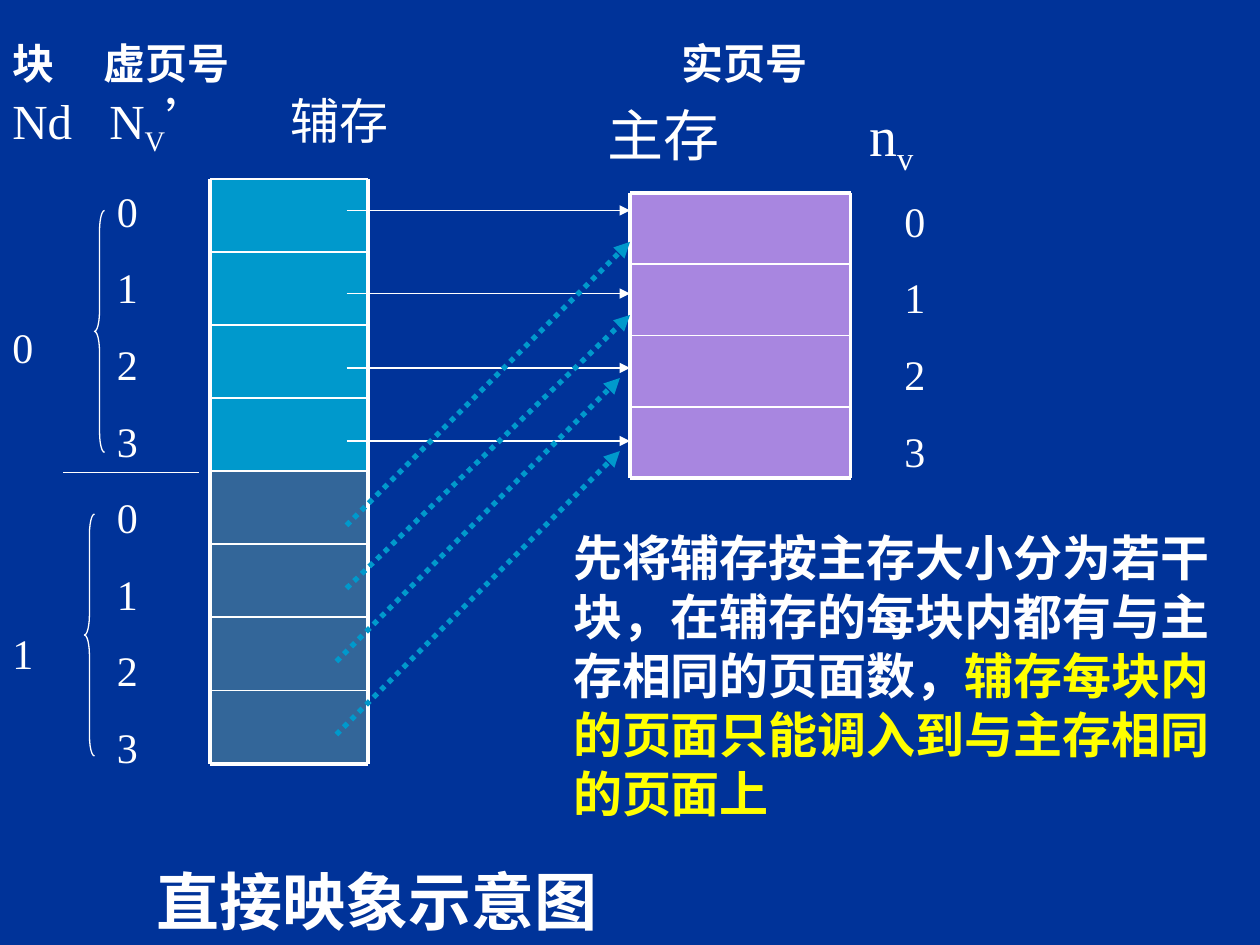
from pptx import Presentation
from pptx.dml.color import RGBColor
from pptx.enum.dml import MSO_LINE
from pptx.enum.shapes import MSO_CONNECTOR, MSO_SHAPE
from pptx.oxml.ns import qn
from pptx.util import Inches, Pt
from lxml.etree import SubElement

WHITE, YELLOW, CYAN = "FFFFFF", "FFFF00", "0099CC"
SERIF, SANS = "Times New Roman", "Noto Sans CJK SC"

# Memories: left, top, width, row height, weight of top line, row colours
MEMORIES = [
    (1.67, 1.42, 1.25, 0.58, 1, [CYAN] * 4 + ["336699"] * 4),
    (5, 1.53, 1.75, 0.566, 2.25, ["A886E0"] * 4),
]

# Arrows: x1, y1, x2, y2
DIRECT = [(2.75, y, 5, y) for y in (1.67, 2.33, 2.92, 3.5)]
DOTTED = [
    (2.75, 4.17, 5, 1.92),
    (2.75, 4.67, 5, 2.5),
    (2.67, 5.25, 4.92, 3),
    (2.67, 5.83, 4.92, 3.58),
]

# Braces: left, top
BRACES = [(0.75, 1.67), (0.67, 4.08)]

# Texts: box, size, font, bold, tab stops, paragraphs of (text, run changes)
PAGES = [[(str(n), {})] for n in range(4)]
TEXTS = [
    ((0, 0.25, 9.58, 0.5), 24, SANS, True, [0.72, 5.31],
     [[("块\t虚页号\t实页号", {})]]),
    ((0, 0.67, 3.67, 0.63), 28, SERIF, False, [0.77, 2.21],
     [[("Nd\tN", {}), ("V", {"sub": True}), ("’", {"font": SANS}), ("\t辅存", {})]]),
    ((4.72, 0.75, 3.36, 0.71), 32, SERIF, False, [2.08],
     [[("主存\tn", {}), ("v", {"sub": True})]]),
    ((0.83, 1.42, 0.58, 4.76), 24, SERIF, False, [], PAGES * 2),
    ((7.08, 1.5, 0.5, 2.33), 24, SERIF, False, [], PAGES),
    ((0, 2.5, 0.58, 0.5), 24, SERIF, False, [], PAGES[:1]),
    ((0, 4.93, 0.58, 0.5), 24, SERIF, False, [], PAGES[1:2]),
    ((4.45, 4.14, 5.55, 2.44), 28, SERIF, True, [],
     [[("先将辅存按主存大小分为若干块，在辅存的每块内都有与主存相同的页面数，", {}),
       ("辅存每块内的页面只能调入到与主存相同的页面上", {"color": YELLOW})]]),
    ((1.14, 6.8, 5.83, 0.7), 36, SERIF, True, [], [[("直接映象示意图", {})]]),
]


def rgb(color):
    return RGBColor.from_string(color)


def add_line(s, x1, y1, x2, y2, weight=0.75, color=WHITE, arrow=False, dotted=False):
    c = s.shapes.add_connector(MSO_CONNECTOR.STRAIGHT, *map(Inches, (x1, y1, x2, y2)))
    c.line.color.rgb = rgb(color)
    c.line.width = Pt(weight)
    if dotted:
        c.line.dash_style = MSO_LINE.ROUND_DOT
    if arrow:
        SubElement(c.line._get_or_add_ln(), qn("a:tailEnd"), type="triangle")
    SubElement(c._element.spPr, qn("a:effectLst"))


def add_memory(s, left, top, width, row, top_weight, colors):
    right, bottom = left + width, top + row * len(colors)
    for i, color in enumerate(colors):
        sp = s.shapes.add_shape(MSO_SHAPE.RECTANGLE, *map(Inches, (left, top + i * row, width, row)))
        sp.shadow.inherit = False
        sp.fill.solid()
        sp.fill.fore_color.rgb = rgb(color)
        sp.line.fill.background()
    weights = [top_weight] + [1] * (len(colors) - 1) + [2.25]
    for i, weight in enumerate(weights):
        add_line(s, left, top + i * row, right, top + i * row, weight)
    for x in (left, right):
        add_line(s, x, top, x, bottom, 2.25)


def add_brace(s, left, top):
    sp = s.shapes.add_shape(MSO_SHAPE.LEFT_BRACE, *map(Inches, (left, top, 0.08, 1.92)))
    sp.adjustments[0] = 2
    sp.shadow.inherit = False
    sp.fill.background()
    sp.line.color.rgb = rgb(WHITE)
    sp.line.width = Pt(0.75)


def add_text(s, box, size, font, bold, tabs, paragraphs):
    tf = s.shapes.add_textbox(*map(Inches, box)).text_frame
    tf.word_wrap = True
    for i, runs in enumerate(paragraphs):
        p = tf.add_paragraph() if i else tf.paragraphs[0]
        if i:
            p.space_before = Pt(15)
        if tabs:
            tab_list = SubElement(p._p.get_or_add_pPr(), qn("a:tabLst"))
            for x in tabs:
                SubElement(tab_list, qn("a:tab"), pos=str(Inches(x)), algn="l")
        p.font.size, p.font.name, p.font.bold = Pt(size), font, bold
        p.font.color.rgb = rgb(WHITE)
        for text, changes in runs:
            r = p.add_run()
            r.text = text
            if "color" in changes:
                r.font.color.rgb = rgb(changes["color"])
            if "font" in changes:
                r.font.name = changes["font"]
            if "sub" in changes:
                r._r.get_or_add_rPr().set("baseline", "-25000")


def main():
    prs = Presentation()
    prs.slide_width, prs.slide_height = Inches(10), Inches(7.5)
    s = prs.slides.add_slide(prs.slide_layouts[6])
    s.background.fill.solid()
    s.background.fill.fore_color.rgb = rgb("003399")

    # Memories, block divider and braces
    for memory in MEMORIES:
        add_memory(s, *memory)
    add_line(s, 0.5, 3.75, 1.58, 3.75)
    for brace in BRACES:
        add_brace(s, *brace)

    # Page mappings
    for ends in DIRECT:
        add_line(s, *ends, arrow=True)
    for ends in DOTTED:
        add_line(s, *ends, weight=3, color=CYAN, arrow=True, dotted=True)

    # Labels, explanation and title
    for text in TEXTS:
        add_text(s, *text)
    prs.save("out.pptx")


if __name__ == "__main__":
    main()
